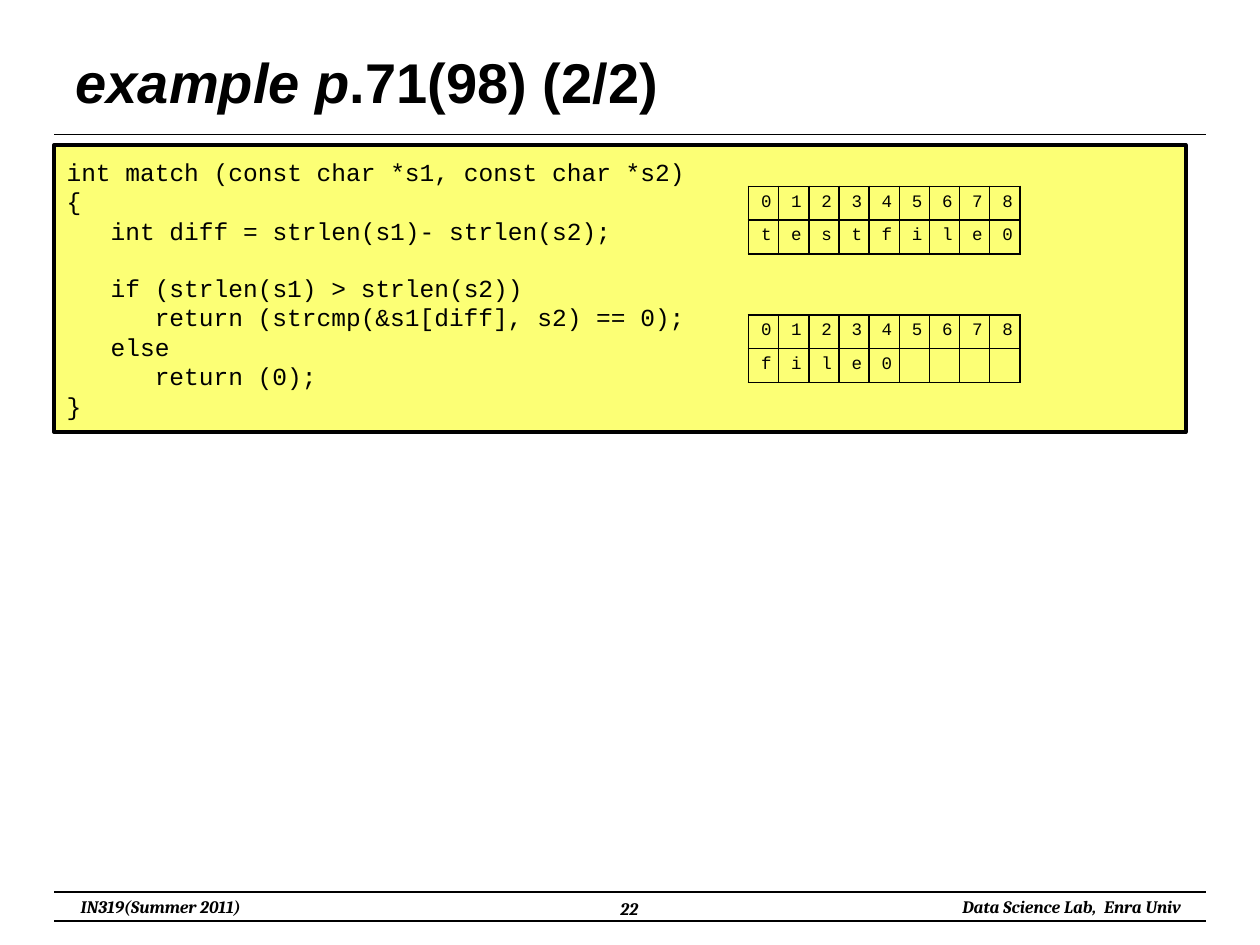
import pptx
import pptx.dml.color
import pptx.enum.shapes
import pptx.enum.text
import pptx.oxml
import pptx.oxml.ns
import pptx.util
from pptx.util import Inches, Pt

COLORS = {"ink": "000000", "code": "FCFF75"}
ALIGN = pptx.enum.text.PP_ALIGN
ANCHOR = pptx.enum.text.MSO_ANCHOR

TITLE = [("example p", True), (".71(98) (2/2)", False)]
# indent level, blank lines above, text
CODE = [
    (0, 0, "int match (const char *s1, const char *s2)"),
    (0, 0, "{"),
    (1, 0, "int diff = strlen(s1)- strlen(s2);"),
    (1, 1, "if (strlen(s1) > strlen(s2))"),
    (2, 0, "return (strcmp(&s1[diff], s2) == 0);"),
    (1, 0, "else"),
    (2, 0, "return (0);"),
    (0, 0, "}"),
]
INDENT, CODE_LINE = Inches(0.35), 15.86
STRINGS = [(1.48, "testfile0"), (2.5, "file0")]
COLUMNS, COLUMN_W, ROW_H, TABLE_X = 9, 0.23, 0.2, 5.94
RULES_Y = [1.07, 7.08, 7.31]
RULE_LEFT, RULE_RIGHT = 0.43, 9.57
FOOTER = [
    ("IN319(Summer 2011)", (0.41, 7.06, 1.73, 0.27), ALIGN.CENTER),
    ("22", (3.83, 7.08, 2.33, 0.31), ALIGN.CENTER),
    ("Data Science Lab,  Enra Univ", (7.16, 7.06, 2.31, 0.27), ALIGN.RIGHT),
]


def rgb(name):
    return pptx.dml.color.RGBColor.from_string(COLORS[name])


def set_font(font, name, size, bold=False, italic=None):
    font.name, font.size, font.bold, font.italic = name, Pt(size), bold, italic
    font.color.rgb = rgb("ink")


def add_title(slide):
    sp = slide.shapes.title
    sp.left, sp.top, sp.width, sp.height = map(Inches, (0.5, 0.3, 9, 0.69))
    tf = sp.text_frame
    tf.auto_size = pptx.enum.text.MSO_AUTO_SIZE.NONE
    tf.vertical_anchor = ANCHOR.MIDDLE
    p = tf.paragraphs[0]
    p.alignment = ALIGN.LEFT
    for text, italic in TITLE:
        r = p.add_run()
        r.text = text
        set_font(r.font, "Arial", 32, True, italic)


def add_rule(slide, y):
    line = slide.shapes.add_connector(
        pptx.enum.shapes.MSO_CONNECTOR.STRAIGHT,
        Inches(RULE_LEFT), Inches(y), Inches(RULE_RIGHT), Inches(y))
    line.line.color.rgb = rgb("ink")
    line.line.width = Pt(0.75)
    line._element.spPr.append(pptx.oxml.parse_xml(
        f'<a:effectLst {pptx.oxml.ns.nsdecls("a")}/>'))


def add_footer(slide, text, box, align):
    tf = slide.shapes.add_textbox(*map(Inches, box)).text_frame
    tf.word_wrap = True
    p = tf.paragraphs[0]
    p.text, p.alignment = text, align
    set_font(p.font, "Cambria", 10, True, True)


def add_code(slide):
    sp = slide.shapes.add_shape(
        pptx.enum.shapes.MSO_SHAPE.RECTANGLE,
        *map(Inches, (RULE_LEFT, 1.15, 8.98, 2.28)))
    sp.shadow.inherit = False
    sp.fill.solid()
    sp.fill.fore_color.rgb = rgb("code")
    sp.line.color.rgb = rgb("ink")
    sp.line.width = Pt(2.25)
    tf = sp.text_frame
    tf.word_wrap = True
    tf.vertical_anchor = ANCHOR.MIDDLE
    for i, (level, blanks, text) in enumerate(CODE):
        p = tf.add_paragraph() if i else tf.paragraphs[0]
        p.text, p.alignment = text, ALIGN.LEFT
        p.space_before = Pt(blanks * CODE_LINE)
        p._p.get_or_add_pPr().set("marL", str(level * INDENT))
        set_font(p.font, "Courier New", 14)


def add_borders(cell):
    tcPr = cell._tc.get_or_add_tcPr()
    for side in "LRTB":
        tcPr.append(pptx.oxml.parse_xml(
            f'<a:ln{side} {pptx.oxml.ns.nsdecls("a")} w="{Pt(1)}"><a:solidFill>'
            f'<a:srgbClr val="{COLORS["ink"]}"/></a:solidFill></a:ln{side}>'))


def add_string_table(slide, y, string):
    """Draw character positions above the characters of a string."""
    rows = ["".join(map(str, range(COLUMNS))), string.ljust(COLUMNS)]
    table = slide.shapes.add_table(
        len(rows), COLUMNS, Inches(TABLE_X), Inches(y),
        Inches(COLUMNS * COLUMN_W), Inches(len(rows) * ROW_H)).table
    table.first_row = table.horz_banding = False
    for column in table.columns:
        column.width = Inches(COLUMN_W)
    for i, row in enumerate(rows):
        table.rows[i].height = Inches(ROW_H)
        for j, char in enumerate(row):
            cell = table.cell(i, j)
            add_borders(cell)
            cell.fill.background()
            p = cell.text_frame.paragraphs[0]
            p.alignment = ALIGN.CENTER
            set_font(p.font, "Courier New", 10)
            if char.strip():
                p.text = char
            else:  # keeps the row of an empty cell from growing
                p._p.append(pptx.oxml.parse_xml(
                    f'<a:endParaRPr {pptx.oxml.ns.nsdecls("a")} sz="1000"/>'))


def main():
    prs = pptx.Presentation()
    prs.slide_width, prs.slide_height = Inches(10), Inches(7.5)
    slide = prs.slides.add_slide(prs.slide_layouts[5])
    for y in RULES_Y:
        add_rule(slide, y)
    add_title(slide)
    for item in FOOTER:
        add_footer(slide, *item)
    add_code(slide)
    for y, string in STRINGS:
        add_string_table(slide, y, string)
    prs.save("out.pptx")


if __name__ == "__main__":
    main()
